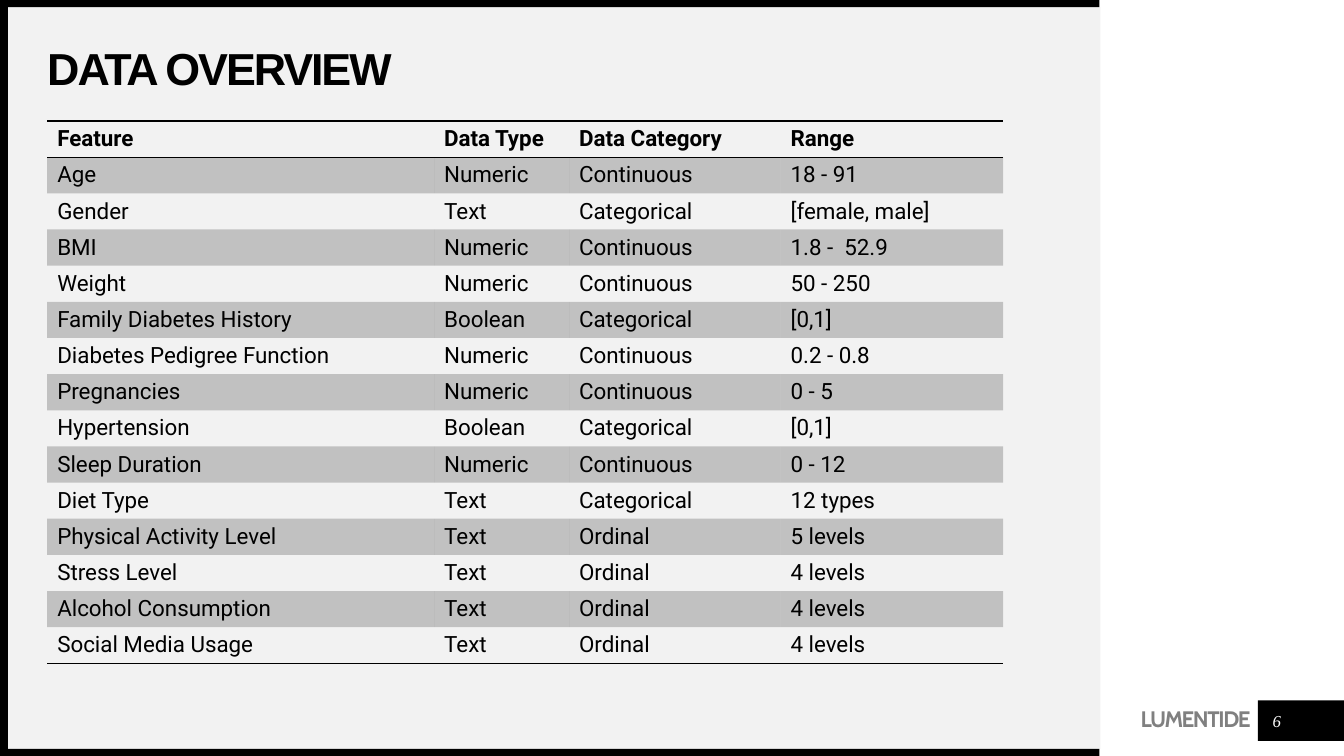
from lxml import etree
from pptx import Presentation
from pptx import util as u
from pptx.dml.color import RGBColor
from pptx.enum import shapes, text
from pptx.oxml.ns import qn

BLACK = "000000"
FEATURES = [
    ("Feature", "Data Type", "Data Category", "Range"),
    ("Age", "Numeric", "Continuous", "18 - 91"),
    ("Gender", "Text", "Categorical", "[female, male]"),
    ("BMI", "Numeric", "Continuous", "1.8 -  52.9"),
    ("Weight", "Numeric", "Continuous", "50 - 250"),
    ("Family Diabetes History", "Boolean", "Categorical", "[0,1]"),
    ("Diabetes Pedigree Function", "Numeric", "Continuous", "0.2 - 0.8"),
    ("Pregnancies", "Numeric", "Continuous", "0 - 5"),
    ("Hypertension", "Boolean", "Categorical", "[0,1]"),
    ("Sleep Duration", "Numeric", "Continuous", "0 - 12"),
    ("Diet Type", "Text", "Categorical", "12 types"),
    ("Physical Activity Level", "Text", "Ordinal", "5 levels"),
    ("Stress Level", "Text", "Ordinal", "4 levels"),
    ("Alcohol Consumption", "Text", "Ordinal", "4 levels"),
    ("Social Media Usage", "Text", "Ordinal", "4 levels"),
]


def color(value):
    return RGBColor.from_string(value)


def add_text(paragraph, words, size, font_name, value, bold=False, italic=False, spacing=0):
    run = paragraph.add_run()
    run.text = words
    run.font.size = u.Pt(size)
    run.font.name = font_name
    run.font.bold = bold
    run.font.italic = italic
    run.font.color.rgb = color(value)
    if spacing:
        run.font._element.set("spc", str(int(spacing * 100)))


presentation = Presentation()
presentation.slide_width = u.Cm(33.87)
presentation.slide_height = u.Cm(19.05)
slide = presentation.slides.add_slide(presentation.slide_layouts[5])

for left, top, width, height, value in [
    (0.2, 0.18, 27.53, 18.69, "F2F2F2"),
    (31.7, 17.65, 2.17, 1.02, BLACK),
    (0, 18.87, 27.71, 0.18, BLACK),
    (0, 0, 27.71, 0.18, BLACK),
    (0, 0, 0.2, 19.05, BLACK),
]:
    shape = slide.shapes.add_shape(
        shapes.MSO_SHAPE.RECTANGLE, u.Cm(left), u.Cm(top), u.Cm(width), u.Cm(height)
    )
    shape.shadow.inherit = False
    shape.fill.solid()
    shape.fill.fore_color.rgb = color(value)
    shape.line.fill.background()

title = slide.shapes.title
slide.shapes._spTree.append(title._element)
title.left, title.top, title.width, title.height = u.Cm(1.19), u.Cm(1.19), u.Cm(25.55), u.Cm(1.19)
brand = slide.shapes.add_textbox(u.Cm(26.9), u.Cm(17.86), u.Cm(4.62), u.Cm(0.64))
page_number = slide.shapes.add_textbox(u.Cm(31.8), u.Cm(17.78), u.Cm(0.76), u.Cm(0.76))

for shape, anchor, alignment in [
    (title, text.MSO_ANCHOR.MIDDLE, text.PP_ALIGN.LEFT),
    (brand, text.MSO_ANCHOR.TOP, text.PP_ALIGN.RIGHT),
    (page_number, text.MSO_ANCHOR.MIDDLE, text.PP_ALIGN.CENTER),
]:
    frame = shape.text_frame
    frame.word_wrap = True
    frame.auto_size = text.MSO_AUTO_SIZE.NONE
    frame.vertical_anchor = anchor
    frame.margin_left = frame.margin_top = frame.margin_right = frame.margin_bottom = 0
    frame.paragraphs[0].alignment = alignment

title_paragraph = title.text_frame.paragraphs[0]
title_paragraph.line_spacing = 0.9
add_text(title_paragraph, "DATA OVERVIEW", 32, "Arial", BLACK, bold=True, spacing=-1.5)

brand.text_frame.margin_top = u.Cm(0.1)
brand_paragraph = brand.text_frame.paragraphs[0]
brand_paragraph.line_spacing = u.Pt(14)
add_text(brand_paragraph, "LUMENTIDE", 16, "Cabin", "808080", bold=True, spacing=-1)

add_text(page_number.text_frame.paragraphs[0], "6", 12, "Times New Roman", "FFFFFF", italic=True)

row_height = u.Cm(0.91)
table = slide.shapes.add_table(
    len(FEATURES), 4, u.Cm(1.19), u.Cm(3.05), u.Cm(24.09), row_height * len(FEATURES)
).table
table._tbl.tblPr.find(qn("a:tableStyleId")).text = "{2D5ABB26-0587-4C30-8999-92F81FD0307C}"
table.horz_banding = False
for column, width in zip(table.columns, (9.75, 3.4, 5.33, 5.61)):
    column.width = u.Cm(width)

borders = {0: ("a:lnT", "a:lnB"), len(FEATURES) - 1: ("a:lnB",)}
for row_index, feature in enumerate(FEATURES):
    table.rows[row_index].height = row_height
    for column_index, words in enumerate(feature):
        cell = table.cell(row_index, column_index)
        add_text(cell.text_frame.paragraphs[0], words, 16, "Roboto", BLACK, bold=row_index == 0)
        properties = cell._tc.get_or_add_tcPr()
        for side in borders.get(row_index, ()):
            border = etree.SubElement(properties, qn(side), w=str(u.Pt(1)))
            border_fill = etree.SubElement(border, qn("a:solidFill"))
            etree.SubElement(border_fill, qn("a:srgbClr"), val=BLACK)
        if row_index % 2:
            cell.fill.solid()
            cell.fill.fore_color.rgb = color(BLACK)
            shade = properties.find(qn("a:solidFill")).find(qn("a:srgbClr"))
            etree.SubElement(shade, qn("a:alpha"), val="20000")
        else:
            cell.fill.background()

presentation.save("out.pptx")
